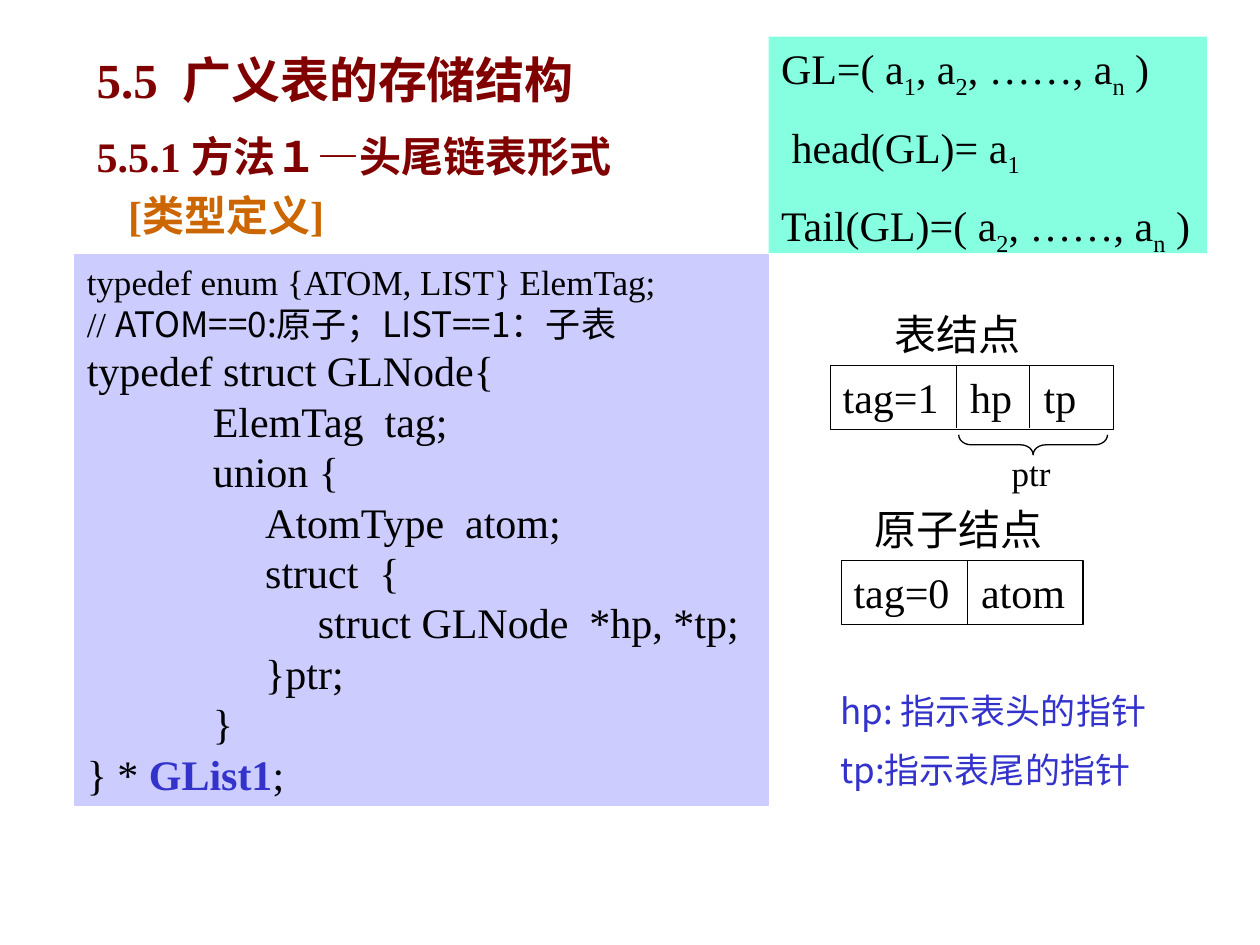
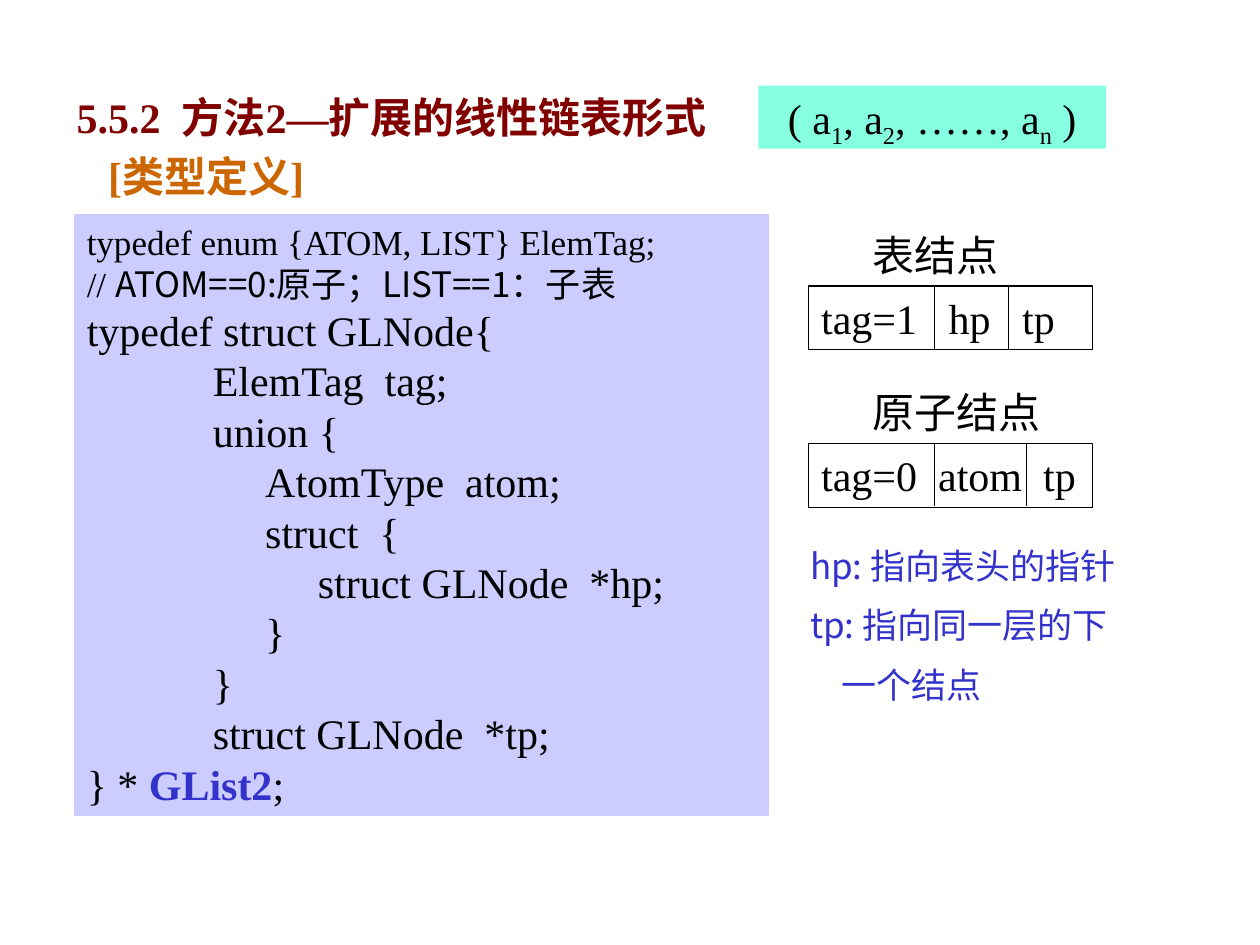
import pptx
import pptx.util
import pptx.dml.color
import pptx.enum.shapes
import pptx.enum.text
import pptx.oxml.ns
from dataclasses import dataclass
from lxml import etree

Pt = pptx.util.Pt
SHAPE = pptx.enum.shapes.MSO_SHAPE
ALIGN = pptx.enum.text.PP_ALIGN
ANCHOR = pptx.enum.text.MSO_ANCHOR
qn = pptx.oxml.ns.qn


@dataclass(frozen=True)
class Theme:
    ink: str = "000000"
    heading: str = "800000"
    subheading: str = "CC6600"
    accent: str = "3333CC"
    code_fill: str = "CCCCFF"
    formula_fill: str = "85FFE0"
    serif: str = "Times New Roman"
    sans: str = "Noto Sans CJK SC"
    title: int = 28
    body: int = 24
    small: int = 20
    leading: float = 1.2
    inset: float = 7.2
    line: float = 0.75


THEME = Theme()


@dataclass
class Line:
    """One paragraph; spans are strings or (text, kind) pairs."""
    spans: list
    size: int = THEME.body
    face: str = THEME.serif
    color: str = THEME.ink
    bold: bool = False
    indent: float = 0
    before: float = 0
    align: object = ALIGN.LEFT


# Text helpers
def rgb(value):
    return pptx.dml.color.RGBColor.from_string(value)


def set_face(font, face):
    font.name = face
    etree.SubElement(font._rPr, qn("a:ea")).set("typeface", THEME.sans)


def add_span(para, span):
    text, kind = span if isinstance(span, tuple) else (span, "plain")
    run = para.add_run()
    run.text = text
    if kind == "sub":
        run.font._rPr.set("baseline", "-25000")
    elif kind == "sans":
        set_face(run.font, THEME.sans)
    elif kind == "name":
        run.font.bold = True
        run.font.color.rgb = rgb(THEME.accent)


def write_lines(shape, lines, anchor=ANCHOR.TOP, right_inset=0,
                top_inset=THEME.inset / 2):
    frame = shape.text_frame
    frame.word_wrap = True
    frame.vertical_anchor = anchor
    frame.margin_left, frame.margin_right = Pt(THEME.inset), Pt(right_inset)
    frame.margin_top, frame.margin_bottom = Pt(top_inset), Pt(THEME.inset / 2)
    for index, line in enumerate(lines):
        para = frame.paragraphs[0] if index == 0 else frame.add_paragraph()
        para.alignment = line.align
        para.line_spacing = Pt(line.size * THEME.leading)
        para.space_before = Pt(line.before if index else 0)
        properties = para._p.get_or_add_pPr()
        properties.set("marL", str(Pt(line.indent)))
        properties.set("indent", "0")
        para.font.size = Pt(line.size)
        para.font.bold = line.bold
        para.font.color.rgb = rgb(line.color)
        set_face(para.font, line.face)
        for span in line.spans:
            add_span(para, span)


# Elements
def add_text(page, left, top, width, height, lines, anchor=ANCHOR.TOP):
    box = page.shapes.add_textbox(Pt(left), Pt(top), Pt(width), Pt(height))
    write_lines(box, lines, anchor)


def add_panel(page, kind, left, top, width, height, fill=None, line=None):
    panel = page.shapes.add_shape(kind, Pt(left), Pt(top), Pt(width), Pt(height))
    panel.shadow.inherit = False
    if fill:
        panel.fill.solid()
        panel.fill.fore_color.rgb = rgb(fill)
    else:
        panel.fill.background()
    if line:
        panel.line.color.rgb = rgb(line)
        panel.line.width = Pt(THEME.line)
    else:
        panel.line.fill.background()
    return panel


def add_headings(page, left, top, height, section):
    add_text(page, left, top, 624, height, [
        Line([section], color=THEME.heading, bold=True),
        Line(["[类型定义]"], color=THEME.subheading, bold=True,
             indent=18, before=4.8)])


def add_code(page, top, height, members, type_name):
    """Type definition; members are (left indent, code) pairs."""
    lines = [
        Line(["typedef enum {ATOM, LIST} ElemTag;"], size=THEME.small),
        Line(["// ", ("ATOM==0:原子；LIST==1：子表", "sans")], size=THEME.small),
        Line(["typedef struct GLNode{"])]
    lines += [Line([code], indent=indent) for indent, code in members]
    lines.append(Line(["} * ", (type_name, "name"), ";"]))
    panel = add_panel(page, SHAPE.RECTANGLE, 42.5, top, 396.7, height,
                      THEME.code_fill, THEME.code_fill)
    write_lines(panel, lines)


def add_formula(page, left, top, width, height, lines, right_inset=0):
    panel = add_panel(page, SHAPE.RECTANGLE, left, top, width, height,
                      THEME.formula_fill)
    write_lines(panel, lines, right_inset=right_inset, top_inset=7.6)


def add_node(page, left, top, width, caption, caption_left, fields, dividers):
    """Captioned record; fields are (text offset, name) pairs."""
    add_text(page, caption_left, top - 36, 150, 36, [Line([caption])])
    add_panel(page, SHAPE.RECTANGLE, left, top, width, 36.5, line=THEME.ink)
    starts = [offset - THEME.inset for offset, name in fields]
    ends = starts[1:] + [width]
    for (offset, name), start, end in zip(fields, starts, ends):
        add_text(page, left + start, top, end - start, 36.5, [Line([name])])
    for offset in dividers:
        x = Pt(left + offset)
        divider = page.shapes.add_connector(
            pptx.enum.shapes.MSO_CONNECTOR.STRAIGHT, x, Pt(top), x, Pt(top + 36))
        divider.line.color.rgb = rgb(THEME.ink)
        divider.line.width = Pt(THEME.line)
        etree.SubElement(divider._element.spPr, qn("a:effectLst"))


def add_list_node(page, left, top):
    add_node(page, left, top, 162, "表结点", left + 29.5,
             [(7.2, "tag=1"), (80, "hp"), (122, "tp")], (72, 114))


def add_notes(page, left, top, width, height, notes):
    """Pointer meanings; notes are (left indent, text) pairs."""
    add_text(page, left, top, width, height, [
        Line([text], size=THEME.small, face=THEME.sans, color=THEME.accent,
             indent=indent, before=10) for indent, text in notes])


# Slides
STRUCT, UNION, INNER = 72, 102, 132
UNION_HEAD = [(STRUCT, "ElemTag  tag;"), (STRUCT, "union {"),
              (UNION, "AtomType  atom;"), (UNION, "struct  {")]
ELEMENTS = ["a", ("1", "sub"), ", a", ("2", "sub"), ", ……, a", ("n", "sub"), " )"]


def build_head_tail_page(page):
    add_text(page, 48.2, 15.1, 612, 59.8, [
        Line(["5.5  广义表的存储结构"], size=THEME.title,
             color=THEME.heading, bold=True)], ANCHOR.MIDDLE)
    add_headings(page, 48.2, 71.3, 74, "5.5.1 方法１—头尾链表形式")
    add_code(page, 145.5, 314.6, UNION_HEAD + [
        (INNER, "struct GLNode  *hp, *tp;"), (UNION, "}ptr;"), (STRUCT, "}")],
        "GList1")
    add_formula(page, 439.2, 20.9, 250.6, 123.8, [
        Line(["GL=( "] + ELEMENTS),
        Line(["head(GL)= a", ("1", "sub")], indent=6, before=16),
        Line(["Tail(GL)=( a"] + ELEMENTS[3:], before=16)])

    # Node layouts
    add_list_node(page, 474.5, 208.8)
    brace = add_panel(page, SHAPE.LEFT_BRACE, 584.6, 211.7, 11.5, 85,
                      line=THEME.ink)
    brace.rotation = 270
    brace.adjustments[0] = 0.62
    add_text(page, 571, 254.2, 56.9, 31, [Line(["ptr"], size=THEME.small)])
    add_node(page, 480.7, 320.4, 138.2, "原子结点", 492.5,
             [(7.2, "tag=0"), (80, "atom")], (72,))
    add_notes(page, 473, 390.2, 221.8, 67,
              [(0, "hp: 指示表头的指针"), (0, "tp:指示表尾的指针")])


def build_linear_page(page):
    add_headings(page, 36.7, 49, 73.4, "5.5.2  方法2—扩展的线性链表形式")
    add_formula(page, 433.4, 49, 198.7, 36,
                [Line(["( "] + ELEMENTS, align=ALIGN.CENTER)], THEME.inset)
    add_code(page, 122.4, 343.4, UNION_HEAD + [
        (INNER, "struct GLNode  *hp;"), (UNION, "}"), (STRUCT, "}"),
        (STRUCT, "struct GLNode  *tp;")], "GList2")

    # Node layouts
    add_list_node(page, 462.2, 163.4)
    add_node(page, 462.2, 253.4, 162, "原子结点", 491.7,
             [(7.2, "tag=0"), (74, "atom"), (134, "tp")], (72, 124.6))
    add_notes(page, 455.8, 307.4, 216, 103,
              [(0, "hp: 指向表头的指针"), (0, "tp: 指向同一层的下"),
               (18, "一个结点")])


def main():
    deck = pptx.Presentation()
    deck.slide_width, deck.slide_height = Pt(720), Pt(540)
    for build in (build_head_tail_page, build_linear_page):
        build(deck.slides.add_slide(deck.slide_layouts[6]))
    deck.save("out.pptx")


if __name__ == "__main__":
    main()
